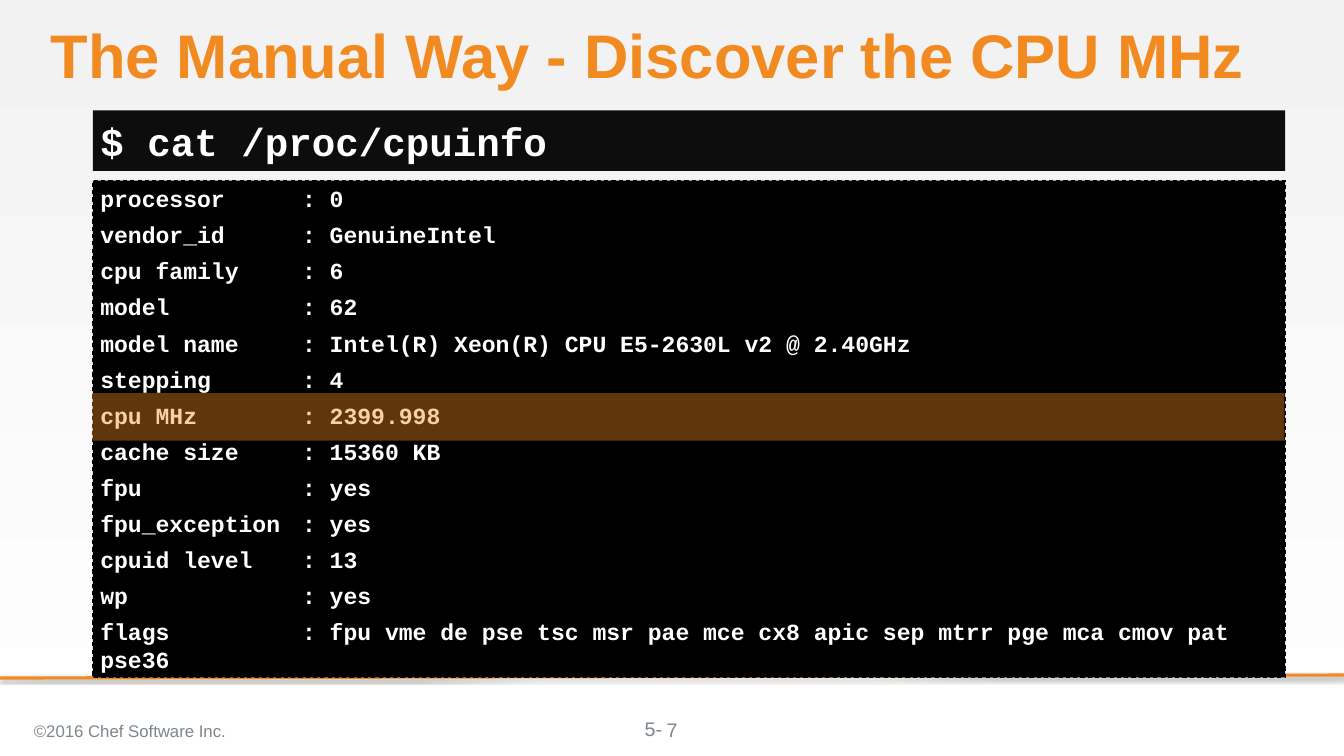
from pptx import Presentation
from pptx.dml.color import RGBColor
from pptx.enum.dml import MSO_LINE
from pptx.enum.shapes import MSO_CONNECTOR, MSO_SHAPE
from pptx.enum.text import MSO_ANCHOR, MSO_AUTO_SIZE, PP_ALIGN
from pptx.oxml import parse_xml
from pptx.oxml.ns import nsdecls
from pptx.util import Cm, Pt

ORANGE, GREY, WHITE, BLACK = "F18B21", "7D868C", "FFFFFF", "000000"
SANS, MONO = "Arial", "Courier New"
TAB = 3.39
CPU_INFO = [
    ("processor", "0"),
    ("vendor_id", "GenuineIntel"),
    ("cpu family", "6"),
    ("model", "62"),
    ("model name", "Intel(R) Xeon(R) CPU E5-2630L v2 @ 2.40GHz"),
    ("stepping", "4"),
    ("cpu MHz", "2399.998"),
    ("cache size", "15360 KB"),
    ("fpu", "yes"),
    ("fpu_exception", "yes"),
    ("cpuid level", "13"),
    ("wp", "yes"),
    ("flags", "fpu vme de pse tsc msr pae mce cx8 apic sep mtrr pge mca cmov pat pse36"),
]


def rgb(value):
    return RGBColor.from_string(value)


def xml(tag, attrs="", inner=""):
    return parse_xml(f"<a:{tag} {nsdecls('a')} {attrs}>{inner}</a:{tag}>")


class Deck:
    """Holds the style and the current slide, and draws each kind of element."""

    def __init__(self, width, height):
        self.prs = Presentation()
        self.prs.slide_width, self.prs.slide_height = Cm(width), Cm(height)
        self.s = self.prs.slides.add_slide(self.prs.slide_layouts[3])

    def background(self, top, bottom):
        fill = self.s.background.fill
        fill.gradient()
        fill.gradient_angle = 270
        for stop, color, position in zip(fill.gradient_stops, (top, bottom), (0, 1)):
            stop.color.rgb = rgb(color)
            stop.position = position

    def place(self, sp, box):
        sp.left, sp.top, sp.width, sp.height = map(Cm, box)

    def frame(self, sp, anchor, insets):
        tf = sp.text_frame
        tf.word_wrap = True
        tf.auto_size = MSO_AUTO_SIZE.NONE
        tf.vertical_anchor = anchor
        tf.margin_left, tf.margin_top, tf.margin_right, tf.margin_bottom = map(Cm, insets)
        return tf

    def run(self, p, text, font, size, color, bold=False):
        r = p.add_run()
        r.text = text
        r.font.name, r.font.size, r.font.bold = font, Pt(size), bold
        r.font.color.rgb = rgb(color)

    def title(self, text, box):
        sp = self.s.shapes.title
        self.place(sp, box)
        p = self.frame(sp, MSO_ANCHOR.TOP, (0, 0, 0, 0)).paragraphs[0]
        p.alignment, p.line_spacing = PP_ALIGN.LEFT, 0.9
        self.run(p, text, SANS, 58.6, ORANGE, True)

    def terminal(self, idx, lines, box, size, fill, anchor, insets):
        sp = self.s.placeholders[idx]
        self.place(sp, box)
        sp.fill.solid()
        sp.fill.fore_color.rgb = rgb(fill)
        tf = self.frame(sp, anchor, insets)
        for i, line in enumerate(lines):
            p = tf.add_paragraph() if i else tf.paragraphs[0]
            pPr = p._p.get_or_add_pPr()
            for name, value in (("marL", 0), ("indent", 0), ("defTabSz", Cm(TAB))):
                pPr.set(name, str(int(value)))
            pPr.append(xml("buNone"))
            p.space_before = Pt(8 if i else 0)
            self.run(p, line, MONO, size, WHITE, True)
        return sp

    def highlight(self, box, color, opacity):
        sp = self.s.shapes.add_shape(MSO_SHAPE.RECTANGLE, *map(Cm, box))
        sp.shadow.inherit = False
        sp.fill.solid()
        sp.fill.fore_color.rgb = rgb(color)
        sp.fill._xPr.find(".//{*}srgbClr").append(xml("alpha", f'val="{opacity * 1000}"'))
        sp.line.fill.background()

    def rule(self, x1, y1, x2, y2):
        cn = self.s.shapes.add_connector(MSO_CONNECTOR.STRAIGHT, *map(Cm, (x1, y1, x2, y2)))
        cn.line.color.rgb, cn.line.width = rgb(ORANGE), Pt(3)
        shadow = (f'<a:outerShdw blurRad="{Pt(3.1)}" dist="{Pt(1.8)}" dir="5400000" rotWithShape="0">'
                  f'<a:srgbClr val="{BLACK}"><a:alpha val="35000"/></a:srgbClr></a:outerShdw>')
        cn._element.spPr.append(xml("effectLst", inner=shadow))
        cn._element.getparent().insert(2, cn._element)

    def label(self, text, box, size, align=PP_ALIGN.LEFT, anchor=MSO_ANCHOR.MIDDLE,
              insets=(0.25, 0.13, 0.25, 0.13)):
        sp = self.s.shapes.add_textbox(*map(Cm, box))
        p = self.frame(sp, anchor, insets).paragraphs[0]
        p.alignment = align
        self.run(p, text, SANS, size, GREY)


def main():
    deck = Deck(45.16, 25.4)
    deck.background("F2F2F2", WHITE)
    deck.rule(45.16, 22.68, 0, 22.78)
    deck.title("The Manual Way - Discover the CPU MHz", (1.7, 0.84, 41.48, 2.31))
    lines = [key + "\t" * (2 if len(key) < 8 else 1) + ": " + value for key, value in CPU_INFO]
    output = deck.terminal(1, lines, (3.12, 6.07, 40.06, 16.69), 22, BLACK,
                           MSO_ANCHOR.TOP, (0.25, 0.13, 0.25, 0.13))
    output.line.color.rgb, output.line.width = rgb(BLACK), Pt(1)
    output.line.dash_style = MSO_LINE.DASH
    deck.terminal(2, ["$ cat /proc/cpuinfo"], (3.12, 3.71, 40.06, 2.03), 37.3, "0D0D0D",
                  MSO_ANCHOR.MIDDLE, (0.25, 0, 0, 0))
    deck.highlight((3.1, 13.21, 40.06, 1.6), ORANGE, 40)
    deck.label("©2016 Chef Software Inc.", (0.89, 23.83, 15.77, 1.42), 16)
    deck.label("5-", (21.56, 24.1, 2.03, 0.79), 18.7,
               anchor=MSO_ANCHOR.TOP, insets=(0.1, 0, 0, 0))
    deck.label("7", (17.5, 23.83, 10.16, 1.35), 18.7, PP_ALIGN.CENTER)
    deck.prs.save("out.pptx")


if __name__ == "__main__":
    main()
